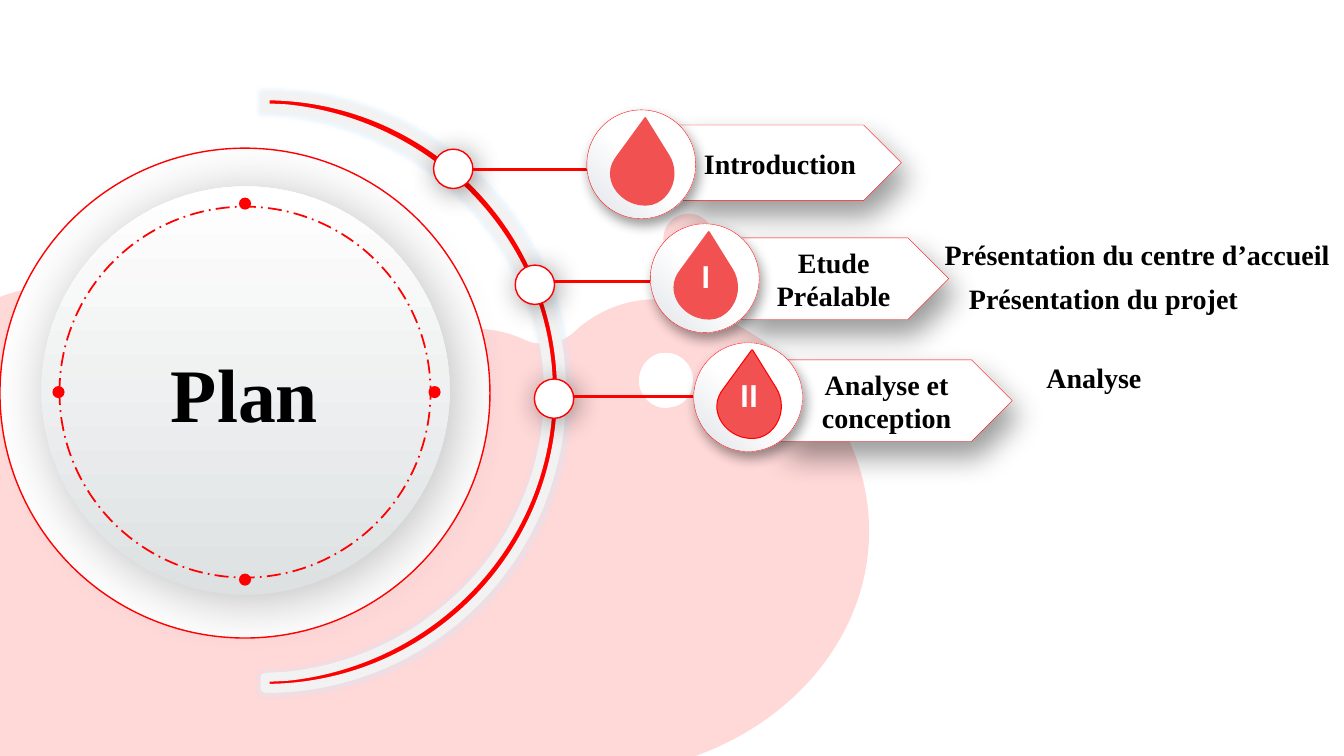
import lxml.etree
import pptx
import pptx.dml.color
import pptx.enum.dml
import pptx.enum.shapes
import pptx.enum.text
import pptx.oxml.ns
import pptx.util

PX = 9144
RGB = pptx.dml.color.RGBColor
RED = RGB(0xFF, 0x00, 0x00)
PINK = RGB(0xFF, 0xD8, 0xD8)
CORAL = RGB(0xF2, 0x51, 0x51)
WHITE = RGB(0xFF, 0xFF, 0xFF)
BLACK = RGB(0x00, 0x00, 0x00)
GRAY = RGB(0x59, 0x59, 0x59)
MIST = RGB(0xDD, 0xE1, 0xE2)
PEARL = RGB(0xE0, 0xE3, 0xE8)
PALE = RGB(0xF2, 0xF2, 0xF2)
SKY = RGB(0xD5, 0xE8, 0xF8)
KIND = pptx.enum.shapes.MSO_SHAPE
ALIGN = pptx.enum.text.PP_ALIGN
SERIF = dict(name="Times New Roman", size=pptx.util.Pt(20), bold=True)
SANS = dict(name="Calibri", size=pptx.util.Pt(24), bold=True)

BLOB = [(650, 297), (621, 297, 593, 308, 571, 328), (563, 336, 552, 341, 539, 341),
        (532, 341, 526, 340, 520, 337), (503, 329, 485, 326, 468, 326),
        (442, 326, 418, 334, 397, 350), (376, 367, 358, 388, 343, 410),
        (318, 450, 282, 481, 239, 498), (235, 500, 232, 502, 229, 503),
        (203, 515, 186, 543, 189, 572), (190, 574, 190, 577, 189, 580),
        (188, 592, 178, 602, 166, 603), (165, 603), (141, 607, 123, 626, 122, 650),
        (122, 651), (122, 746, 218, 823, 336, 823), (379, 823, 419, 813, 452, 796),
        (486, 777, 524, 767, 562, 767), (565, 767, 568, 768, 571, 768), (585, 768),
        (737, 768, 862, 660, 862, 527), (862, 427, 792, 341, 692, 305),
        (678, 300, 664, 297, 650, 297)]
HOLE = [(661, 350), (677, 350, 690, 365, 687, 382), (686, 393, 677, 403, 666, 404),
        (664, 404, 662, 405, 661, 405), (644, 405, 631, 389, 634, 373),
        (636, 361, 645, 352, 656, 350), (657, 350, 659, 350, 661, 350)]
WAVE = [(53, 285), (77, 285, 102, 290, 124, 300), (169, 320, 206, 356, 233, 399),
        (258, 436, 276, 480, 314, 504), (341, 521, 374, 525, 405, 530),
        (443, 537, 481, 544, 517, 559), (552, 573, 586, 597, 608, 629),
        (634, 667, 642, 714, 643, 760), (5, 760), (-2, 760, -8, 754, -8, 746),
        (-8, 298), (11, 289, 32, 285, 53, 285)]
BAND = [(0, 0), (163, 0, 294, 132, 294, 294), (294, 457, 163, 588, 0, 588), (0, 577),
        (21, 576), (167, 561, 281, 441, 281, 294), (281, 148, 167, 28, 21, 13), (0, 12)]
DROP = [(35, 0), (35, 0, 34, 1, 34, 1), (7, 38), (3, 43, 0, 49, 0, 56),
        (0, 73, 16, 88, 35, 88), (36, 88), (51, 88, 64, 73, 64, 56),
        (64, 49, 62, 43, 59, 38), (36, 1), (36, 1, 36, 0, 35, 0)]
ROWS = [((582, 109), (672, 124, 222, 75), "Introduction", "", None,
         (430, 148), (468, 621, 168)),
        ((645, 222), (733, 236, 208, 81), "Etude Préalable", "I", None,
         (511, 263), (549, 672, 279)),
        ((688, 340), (775, 357, 229, 81), "Analyse et conception", "II", RED,
         (530, 376), (568, 711, 393))]


def put(obj, vals):
    """Set each attribute of obj from the dict vals."""
    for key, val in vals.items():
        setattr(obj, key, val)


def glow(shape, tag, tint, alpha, **vals):
    """Add one effect to a shape."""
    name = pptx.oxml.ns.qn
    base = shape.element.spPr.find(name("a:effectLst"))
    node = lxml.etree.SubElement(base, name(tag), {k: str(v) for k, v in vals.items()})
    hue = lxml.etree.SubElement(node, name("a:srgbClr"), val=str(tint))
    lxml.etree.SubElement(hue, name("a:alpha"), val=str(alpha * 1000))


def shade(shape, tint, blur, dist, turn):
    """Give a shape an outer shadow, lengths in points."""
    glow(shape, "a:outerShdw", tint, 40, blurRad=blur * 12700, dist=dist * 12700,
         dir=turn * 60000, algn="tl", rotWithShape=0)


def blend(shape, stops):
    """Fill a shape with a two-stop gradient."""
    shape.fill.gradient()
    for stop, (spot, tint) in zip(shape.fill.gradient_stops, stops):
        stop.position = spot
        stop.color.rgb = tint


def paint(shape, fill=None, line=None, width=1):
    """Set the fill and line of a shape and drop its theme shadow."""
    shape.shadow.inherit = False
    if fill is None:
        shape.fill.background()
    else:
        shape.fill.solid()
        shape.fill.fore_color.rgb = fill
    if line is None:
        shape.line.fill.background()
    else:
        shape.line.color.rgb = line
        shape.line.width = pptx.util.Pt(width)
    return shape


def form(slide, kind, box, *look):
    """Draw a preset shape in a box of px."""
    return paint(slide.shapes.add_shape(kind, *(n * PX for n in box)), *look)


def bend(shape, steps):
    """Fold each three segments of a curved step into one cubic curve."""
    name = pptx.oxml.ns.qn
    track = next(shape.element.spPr.iter(name("a:path")))
    legs = iter(list(track.iterfind(name("a:lnTo"))))
    for step in steps:
        trio = [next(legs) for _ in range(len(step) // 2)]
        if len(trio) == 3:
            curve = lxml.etree.Element(name("a:cubicBezTo"))
            trio[0].addprevious(curve)
            for leg in trio:
                curve.append(leg[0])
                track.remove(leg)


def mould(slide, loops, *look, left=0, top=0):
    """Draw closed outlines of points and cubic curves as one freeform."""
    pen = None
    for loop in loops:
        dots = [((step[i] + left) * PX, (step[i + 1] + top) * PX)
                for step in loop for i in range(0, len(step), 2)]
        if pen is None:
            pen = slide.shapes.build_freeform(*dots[0])
        else:
            pen.move_to(*dots[0])
        pen.add_line_segments(dots[1:], close=False)
        if dots[-1] != dots[0]:
            pen.add_line_segments([dots[0]], close=False)
    shape = pen.convert_to_shape()
    bend(shape, [step for loop in loops
                 for step in loop[1:] + [loop[0]] * (loop[-1][-2:] != loop[0])])
    return paint(shape, *look)


def write(shape, text, font, tint, align=ALIGN.CENTER, **frame):
    """Write one line of formatted text in a shape."""
    put(shape.text_frame, {"word_wrap": True, **frame})
    para = shape.text_frame.paragraphs[0]
    para.text = text
    para.alignment = align
    put(para.font, font)
    para.font.color.rgb = tint


def note(slide, box, text, align=ALIGN.LEFT, size=20, wrap=True):
    """Add a free label."""
    area = slide.shapes.add_textbox(*(n * PX for n in box))
    write(area, text, {**SERIF, "size": pptx.util.Pt(size)}, BLACK, align,
          word_wrap=wrap, auto_size=pptx.enum.text.MSO_AUTO_SIZE.SHAPE_TO_FIT_TEXT)


def back(slide):
    """Draw the pink background."""
    mould(slide, [HOLE, BLOB], PINK)
    form(slide, KIND.OVAL, (658, 212, 50, 49), PINK)
    mould(slide, [WAVE], PINK)


def arc(slide, left, top):
    """Draw the half ring that carries the nodes."""
    band = mould(slide, [BAND], RED, PALE, 6.5, left=left, top=top)
    glow(band, "a:glow", SKY, 40, rad=5 * 12700)


def disc(slide, left, top):
    """Draw the title disc with its dashed ring and dots."""
    face = form(slide, KIND.OVAL, (left + 41, top + 38, 405, 405))
    blend(face, [(0, MIST), (1, WHITE)])
    face.fill.gradient_angle = 90
    shade(face, GRAY, 40, 6, 45)
    note(slide, (left + 100, top + 192, 285, 101), "Plan", ALIGN.CENTER, 54)
    ring = form(slide, KIND.OVAL, (left + 59, top + 58, 368, 368), None, RED, 1.25)
    ring.line.dash_style = pptx.enum.dml.MSO_LINE.LONG_DASH_DOT
    for dx, dy in ((237, 49), (237, 422), (425, 236), (52, 236)):
        form(slide, KIND.OVAL, (left + dx, top + dy, 12, 12), RED)


def link(slide, node, wire):
    """Draw a node on the arc and the line leaving it."""
    dot = form(slide, KIND.OVAL, (*node, 39, 39), WHITE, RED)
    shade(dot, BLACK, 20, 3, 45)
    start, end, y = wire
    line = slide.shapes.add_connector(pptx.enum.shapes.MSO_CONNECTOR.STRAIGHT,
                                      start * PX, y * PX, end * PX, y * PX)
    line.line.color.rgb = RED
    line.line.width = pptx.util.Pt(2.25)
    lxml.etree.SubElement(line.element.spPr, pptx.oxml.ns.qn("a:effectLst"))


def entry(slide, spot, box, text, mark, edge):
    """Draw a plate with its round badge and drop."""
    name = pptx.oxml.ns.qn
    middle = pptx.enum.text.MSO_ANCHOR.MIDDLE
    plate = form(slide, KIND.PENTAGON, box, WHITE, RED, 0.25)
    shade(plate, BLACK, 21, 12, 65)
    write(plate, text, SERIF, BLACK, vertical_anchor=middle)
    badge = form(slide, KIND.OVAL, (*spot, 108, 108), WHITE, RED, 0.25)
    blend(badge, [(0.5, WHITE), (1, PEARL)])
    grad = badge.element.spPr.find(name("a:gradFill"))
    grad.remove(grad.find(name("a:lin")))
    halo = lxml.etree.SubElement(grad, name("a:path"), {"path": "circle"})
    lxml.etree.SubElement(halo, name("a:fillToRect"), l="100000", b="100000")
    shade(badge, BLACK, 9, 5, 65)
    drop = mould(slide, [DROP], CORAL, edge, 0.75, left=spot[0] + 23, top=spot[1] + 7)
    if mark:
        pads = {"margin_" + s: 10 * PX for s in ("left", "top", "right", "bottom")}
        write(drop, mark, SANS, WHITE, vertical_anchor=middle, **pads)


def main():
    """Build the plan slide and save it."""
    deck = pptx.Presentation()
    put(deck, dict(slide_width=1333 * PX, slide_height=750 * PX))
    slide = deck.slides.add_slide(deck.slide_layouts[6])
    back(slide)
    form(slide, KIND.OVAL, (0, 147, 486, 486), WHITE, RED)
    arc(slide, 263, 95)
    for *_, node, wire in ROWS:
        link(slide, node, wire)
    disc(slide, 0, 147)
    for *parts, _, _ in ROWS:
        entry(slide, *parts)
    note(slide, (927, 231, 667, 44), "Présentation du centre d’accueil")
    note(slide, (761, 274, 667, 44), "Présentation du projet", ALIGN.CENTER)
    note(slide, (1028, 353, 115, 44), "Analyse", wrap=False)
    deck.save("out.pptx")


if __name__ == "__main__":
    main()
